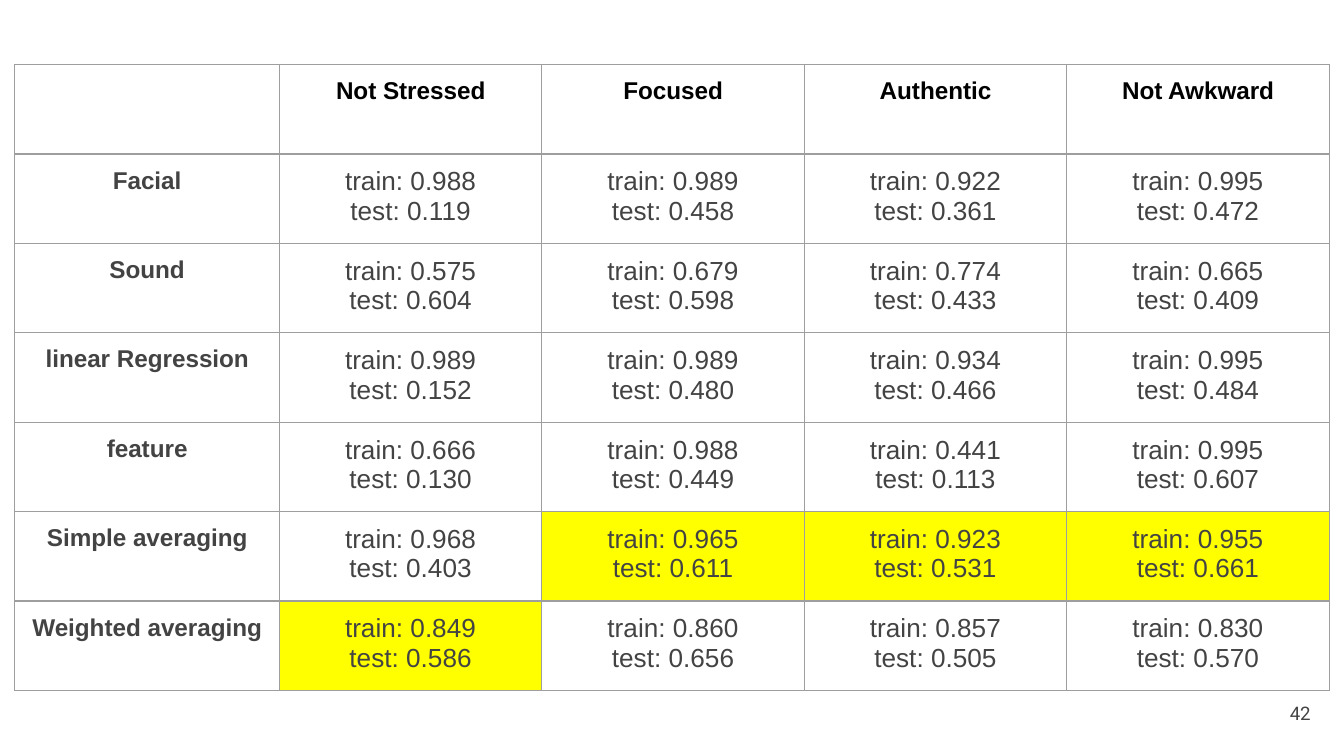
from dataclasses import dataclass

import lxml.etree
import pptx
import pptx.dml.color
import pptx.enum.text
import pptx.oxml.ns
import pptx.table
import pptx.text.text
import pptx.util
from pptx.util import Cm

COLORS = {
    "black": "000000",
    "text": "434343",
    "border": "9E9E9E",
    "best": "FFFF00",
}
INSET = Cm(0.25)
BORDER_WIDTH = pptx.util.Pt(0.75)
Alignment = pptx.enum.text.PP_ALIGN


@dataclass(frozen=True)
class TextStyle:
    size: int
    color: str
    bold: bool = False
    font: str = "Arial"
    alignment: Alignment = Alignment.CENTER


@dataclass(frozen=True)
class Score:
    train: str
    test: str
    best: bool = False


@dataclass(frozen=True)
class Model:
    name: str
    scores: tuple[Score, ...]


HEADER_STYLE = TextStyle(13, "black", bold=True)
MODEL_STYLE = TextStyle(13, "text", bold=True)
SCORE_STYLE = TextStyle(14, "text")
NUMBER_STYLE = TextStyle(10, "text", font="Roboto", alignment=Alignment.RIGHT)

QUALITIES = ("Not Stressed", "Focused", "Authentic", "Not Awkward")
MODELS = (
    Model("Facial", (
        Score("0.988", "0.119"), Score("0.989", "0.458"),
        Score("0.922", "0.361"), Score("0.995", "0.472"))),
    Model("Sound", (
        Score("0.575", "0.604"), Score("0.679", "0.598"),
        Score("0.774", "0.433"), Score("0.665", "0.409"))),
    Model("linear Regression", (
        Score("0.989", "0.152"), Score("0.989", "0.480"),
        Score("0.934", "0.466"), Score("0.995", "0.484"))),
    Model("feature", (
        Score("0.666", "0.130"), Score("0.988", "0.449"),
        Score("0.441", "0.113"), Score("0.995", "0.607"))),
    Model("Simple averaging", (
        Score("0.968", "0.403"), Score("0.965", "0.611", best=True),
        Score("0.923", "0.531", best=True), Score("0.955", "0.661", best=True))),
    Model("Weighted averaging", (
        Score("0.849", "0.586", best=True), Score("0.860", "0.656"),
        Score("0.857", "0.505"), Score("0.830", "0.570"))),
)


def rgb(name: str) -> pptx.dml.color.RGBColor:
    return pptx.dml.color.RGBColor.from_string(COLORS[name])


def write_lines(frame: pptx.text.text.TextFrame, lines: tuple[str, ...], style: TextStyle) -> None:
    for index, line in enumerate(lines):
        paragraph = frame.paragraphs[0] if index == 0 else frame.add_paragraph()
        paragraph.alignment = style.alignment
        run = paragraph.add_run()
        run.text = line
        run.font.name = style.font
        run.font.size = pptx.util.Pt(style.size)
        run.font.bold = style.bold
        run.font.color.rgb = rgb(style.color)


def add_borders(cell: pptx.table._Cell) -> None:
    qualified = pptx.oxml.ns.qn
    properties = cell._tc.get_or_add_tcPr()
    for side in ("lnL", "lnR", "lnT", "lnB"):
        line = lxml.etree.SubElement(properties, qualified(f"a:{side}"), w=str(BORDER_WIDTH))
        fill = lxml.etree.SubElement(line, qualified("a:solidFill"))
        lxml.etree.SubElement(fill, qualified("a:srgbClr"), val=COLORS["border"])


def format_cell(cell: pptx.table._Cell, lines: tuple[str, ...], style: TextStyle,
                best: bool = False) -> None:
    cell.margin_left = cell.margin_right = INSET
    cell.margin_top = cell.margin_bottom = INSET
    add_borders(cell)
    if best:
        cell.fill.solid()
        cell.fill.fore_color.rgb = rgb("best")
    else:
        cell.fill.background()
    write_lines(cell.text_frame, lines, style)


def add_score_table(slide: pptx.slide.Slide) -> None:
    name_width, score_width, row_height = Cm(5), Cm(4.96), Cm(1.69)
    row_count, column_count = len(MODELS) + 1, len(QUALITIES) + 1
    table = slide.shapes.add_table(
        row_count, column_count, Cm(0.28), Cm(1.22),
        name_width + score_width * len(QUALITIES), row_height * row_count).table
    table.first_row = False
    table.horz_banding = False
    for index, column in enumerate(table.columns):
        column.width = name_width if index == 0 else score_width
    for row in table.rows:
        row.height = row_height

    format_cell(table.cell(0, 0), (), HEADER_STYLE)
    for column_index, quality in enumerate(QUALITIES, start=1):
        format_cell(table.cell(0, column_index), (quality,), HEADER_STYLE)
    for row_index, model in enumerate(MODELS, start=1):
        format_cell(table.cell(row_index, 0), (model.name,), MODEL_STYLE)
        for column_index, score in enumerate(model.scores, start=1):
            lines = (f"train: {score.train}", f"test: {score.test}")
            format_cell(table.cell(row_index, column_index), lines, SCORE_STYLE, score.best)


def add_slide_number(slide: pptx.slide.Slide, number: str) -> None:
    shape = slide.shapes.add_textbox(Cm(23.5), Cm(12.93), Cm(1.52), Cm(1.09))
    frame = shape.text_frame
    frame.word_wrap = True
    frame.vertical_anchor = pptx.enum.text.MSO_ANCHOR.MIDDLE
    frame.margin_left = frame.margin_right = INSET
    frame.margin_top = frame.margin_bottom = INSET
    write_lines(frame, (number,), NUMBER_STYLE)


def main() -> None:
    presentation = pptx.Presentation()
    presentation.slide_width = Cm(25.4)
    presentation.slide_height = Cm(14.29)
    slide = presentation.slides.add_slide(presentation.slide_layouts[6])
    add_score_table(slide)
    add_slide_number(slide, "42")
    presentation.save("out.pptx")


if __name__ == "__main__":
    main()
